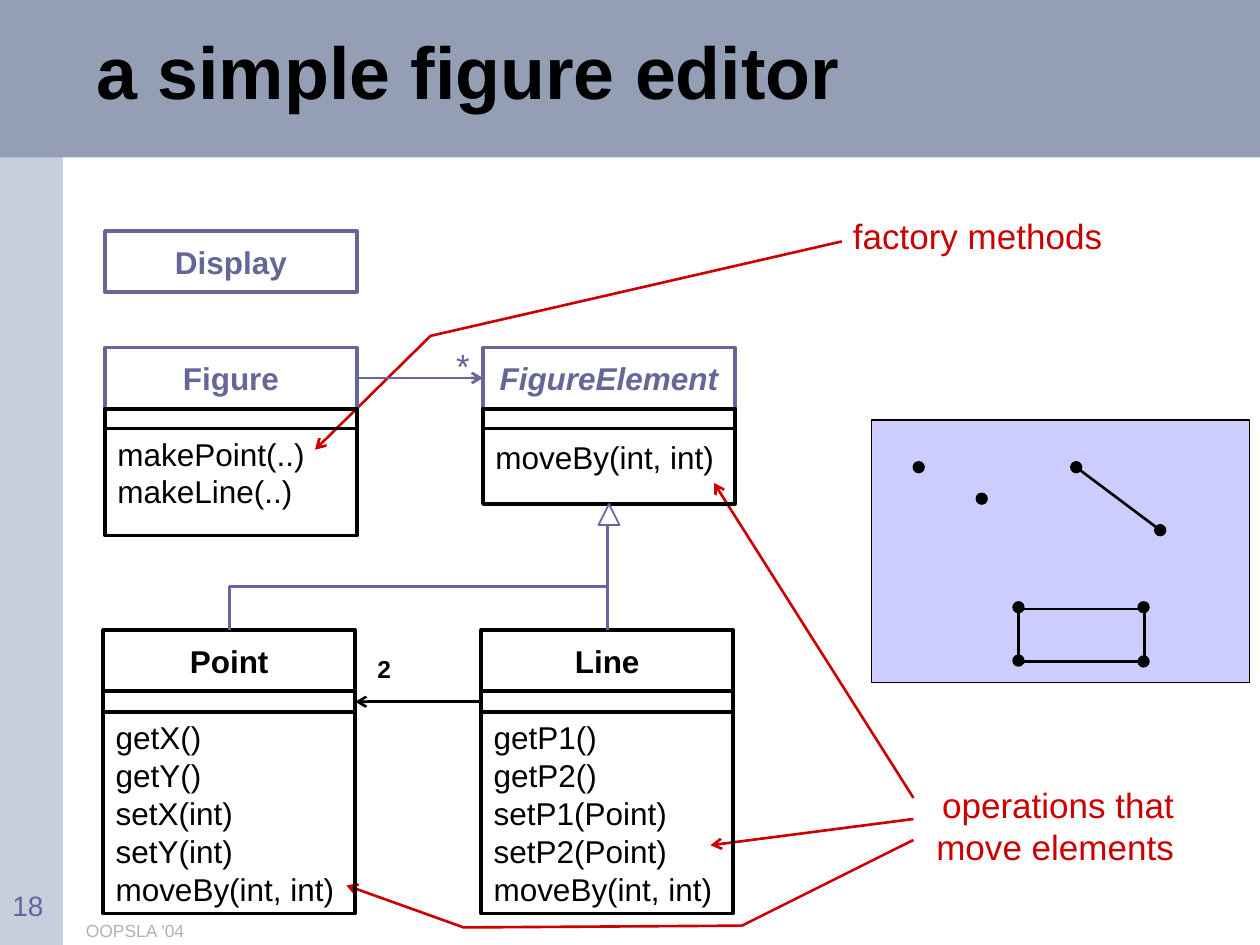
from lxml import etree
from pptx import Presentation
from pptx.dml.color import RGBColor
from pptx.enum.shapes import MSO_CONNECTOR, MSO_SHAPE
from pptx.enum.text import MSO_ANCHOR, PP_ALIGN
from pptx.oxml.ns import qn
from pptx.util import Pt

RECT, OVAL, TRIANGLE = MSO_SHAPE.RECTANGLE, MSO_SHAPE.OVAL, MSO_SHAPE.ISOSCELES_TRIANGLE
STRAIGHT = MSO_CONNECTOR.STRAIGHT
LEFT, CENTER, RIGHT = PP_ALIGN.LEFT, PP_ALIGN.CENTER, PP_ALIGN.RIGHT
TOP, MIDDLE = MSO_ANCHOR.TOP, MSO_ANCHOR.MIDDLE
COLORS = {
    "black": "000000", "white": "FFFFFF", "red": "CC0000", "violet": "666699",
    "canvas": "CCCCFF", "banner": "949FB6", "sidebar": "C8CEDC", "footer": "B2B2B2",
}
RGB = {name: RGBColor.from_string(value) for name, value in COLORS.items()}


def style(part, line=None, width=1.5, fill=None, arrow=False):
    """Set outline, fill and arrowhead of a shape or connector, without shadow."""
    if line:
        part.line.color.rgb = RGB[line]
        part.line.width = Pt(width)
    else:
        part.line.fill.background()
    if fill:
        part.fill.solid()
        part.fill.fore_color.rgb = RGB[fill]
    elif hasattr(part, "fill"):
        part.fill.background()
    if arrow:
        etree.SubElement(part.line._get_or_add_ln(), qn("a:tailEnd"), type="arrow")
    etree.SubElement(part._element.spPr, qn("a:effectLst"))
    return part


def write(part, text, size, color, align=LEFT, anchor=TOP, wrap=True, spacing=None, **font):
    frame = part.text_frame
    for key, value in {"word_wrap": wrap, "vertical_anchor": anchor}.items():
        setattr(frame, key, value)
    paragraph = frame.paragraphs[0]
    paragraph.text = text
    paragraph.alignment = align
    paragraph.line_spacing = spacing
    for run in paragraph.runs:
        run.font.color.rgb = RGB[color]
        for key, value in {"name": "Arial", "size": Pt(size), **font}.items():
            setattr(run.font, key, value)


prs = Presentation()
prs.slide_width, prs.slide_height = Pt(720), Pt(540)
slide = prs.slides.add_slide(prs.slide_layouts[6])
shapes = slide.shapes

# Background bands
for fill, width, height in [("sidebar", 36, 540), ("banner", 720, 90)]:
    style(shapes.add_shape(RECT, 0, 0, Pt(width), Pt(height)), fill=fill)

# Drawing canvas with sample figures
canvas = shapes.add_shape(RECT, Pt(498), Pt(240), Pt(216), Pt(150))
style(canvas, "black", 1, "canvas")
sample_line = shapes.add_connector(STRAIGHT, Pt(615), Pt(267), Pt(663), Pt(303))
style(sample_line, "black")
style(shapes.add_shape(RECT, Pt(582), Pt(348), Pt(72), Pt(30)), "black")
for x, y in [(561, 285), (525, 267), (663, 303), (615, 267),
             (582, 347), (582, 377.5), (653.5, 347), (653.5, 378)]:
    style(shapes.add_shape(OVAL, Pt(x - 3), Pt(y - 3), Pt(6), Pt(6)), "black", 1, "black")

# Callout arrows
move_element = shapes.add_connector(STRAIGHT, Pt(522), Pt(456), Pt(408), Pt(276))
style(move_element, "red", arrow=True)
for start, *bends in [
    [(522, 480), (423.5, 529), (265, 529.5), (197.5, 506)],
    [(522, 468), (405.5, 483)],
    [(481, 138), (245.5, 192), (180.5, 257)],
]:
    builder = shapes.build_freeform(*start, scale=Pt(1))
    builder.add_line_segments(bends, close=False)
    style(builder.convert_to_shape(), "red", arrow=True)

# Class boxes: name, left, top, strip height, body height, operations
classes = [
    ("Display", 60, 132, 0, 0, ""),
    ("Figure", 60, 198.5, 11.5, 72, "makePoint(..)\vmakeLine(..)"),
    ("FigureElement", 276, 198.5, 11.5, 54, "moveBy(int, int)"),
    ("Point", 59, 360, 12, 115, "getX()\vgetY()\vsetX(int)\vsetY(int)\vmoveBy(int, int)"),
    ("Line", 275, 360, 12, 115,
     "getP1()\vgetP2()\vsetP1(Point)\vsetP2(Point)\vmoveBy(int, int)"),
]
CLASS_WIDTH, HEADER_HEIGHT = 144, 35
headers, strips = {}, {}
for name, x, y, strip_height, body_height, operations in classes:
    color = "black" if name in ("Point", "Line") else "violet"
    header = shapes.add_shape(RECT, Pt(x), Pt(y), Pt(CLASS_WIDTH), Pt(HEADER_HEIGHT))
    headers[name] = style(header, color, 2)
    write(header, name, 18, color, CENTER, MIDDLE, False,
          bold=True, italic=name == "FigureElement")
    if not operations:
        continue
    strip_top = y + HEADER_HEIGHT
    body_top = strip_top + (strip_height if color == "black" else 0.5)
    body = shapes.add_shape(RECT, Pt(x), Pt(body_top), Pt(CLASS_WIDTH), Pt(body_height))
    style(body, "black", 2)
    write(body, operations, 18, "black", LEFT, MIDDLE, False)
    strip = shapes.add_shape(RECT, Pt(x), Pt(strip_top), Pt(CLASS_WIDTH), Pt(strip_height))
    strips[name] = style(strip, "black", 2)

# Associations
for source, source_side, target, target_side, color in [
    (headers["Figure"], 3, headers["FigureElement"], 1, "violet"),
    (strips["Line"], 1, strips["Point"], 3, "black"),
]:
    association = shapes.add_connector(STRAIGHT, 0, 0, 0, 0)
    association.begin_connect(source, source_side)
    association.end_connect(target, target_side)
    style(association, color, arrow=True)

# Inheritance tree
JOIN_Y = 335
for name, x in [("Point", 131), ("Line", 347)]:
    branch = shapes.add_connector(STRAIGHT, Pt(x), Pt(360), Pt(x), Pt(JOIN_Y))
    branch.begin_connect(headers[name], 0)
    style(branch, "violet")
for x1, y1, x2, y2 in [(131, JOIN_Y, 347, JOIN_Y), (347, JOIN_Y, 347, 299)]:
    style(shapes.add_connector(STRAIGHT, Pt(x1), Pt(y1), Pt(x2), Pt(y2)), "violet")
arrowhead = shapes.add_shape(TRIANGLE, Pt(342), Pt(288), Pt(12), Pt(12))
style(arrowhead, "violet", 1, "white")

# Free text: left, top, width, height, text, size, color, format
labels = [
    (48, 6, 600, 75.5, "a simple figure editor", 42, "black",
     {"anchor": MIDDLE, "bold": True, "spacing": 0.85}),
    (516, 444, 162, 55.5, "operations that move elements", 20, "red", {"align": RIGHT}),
    (475, 119, 162, 31.5, "factory methods", 20, "red", {"align": RIGHT}),
    (253.5, 193.5, 18, 31.5, "*", 20, "violet", {"align": CENTER}),
    (207.5, 370, 24, 24.5, "2", 14, "black", {"align": CENTER, "bold": True}),
    (42, 522, 402, 18, "OOPSLA '04", 10, "footer", {}),
    (0, 504, 48, 18, "18", 16, "violet", {}),
]
for x, y, width, height, text, size, color, text_format in labels:
    label = shapes.add_textbox(Pt(x), Pt(y), Pt(width), Pt(height))
    write(label, text, size, color, **text_format)

prs.save("out.pptx")
